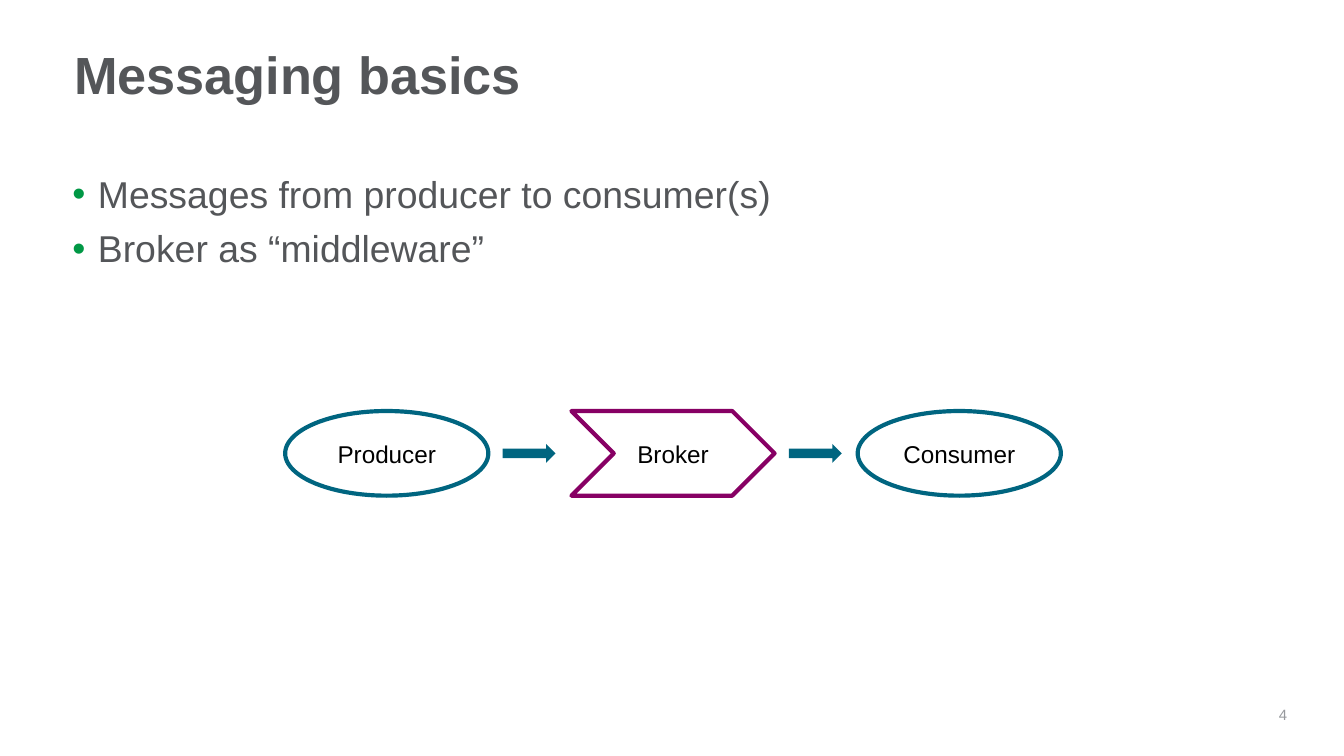
import pptx
import pptx.util
import pptx.dml.color
import pptx.enum.shapes
import pptx.enum.text
from lxml import etree

Cm = pptx.util.Cm
Pt = pptx.util.Pt
RGB = pptx.dml.color.RGBColor
Shape = pptx.enum.shapes.MSO_SHAPE
Align = pptx.enum.text.PP_ALIGN
Anchor = pptx.enum.text.MSO_ANCHOR

GRAY = RGB(0x54, 0x56, 0x59)
PALE = RGB(0x97, 0x99, 0x9D)
GREEN = RGB(0x00, 0x98, 0x45)
TEAL = RGB(0x00, 0x65, 0x80)
PLUM = RGB(0x87, 0x00, 0x64)
BLACK = RGB(0, 0, 0)
WHITE = RGB(0xFF, 0xFF, 0xFF)


class Deck:
    font = "Arial"

    def __init__(self):
        self.file = pptx.Presentation()
        self.file.slide_width = Cm(25.4)
        self.file.slide_height = Cm(14.29)
        self.slide = self.file.slides.add_slide(self.file.slide_layouts[1])

    def place(self, item, box):
        item.left, item.top, item.width, item.height = map(Cm, box)

    def frame(self, item, pad, anchor):
        frame = item.text_frame
        frame.word_wrap = True
        frame.auto_size = pptx.enum.text.MSO_AUTO_SIZE.NONE
        frame.margin_left = frame.margin_right = 0
        frame.margin_top = frame.margin_bottom = Cm(pad)
        frame.vertical_anchor = anchor
        return frame

    def style(self, para, size, color, align, bold=False):
        para.alignment = align
        for run in para.runs:
            run.font.name = self.font
            run.font.size = Pt(size)
            run.font.bold = bold
            run.font.color.rgb = color

    def title(self, text, box):
        item = self.slide.shapes.title
        self.place(item, box)
        frame = self.frame(item, 0.13, Anchor.MIDDLE)
        frame.text = text
        para = frame.paragraphs[0]
        para.line_spacing = 0.9
        self.style(para, 28, GRAY, Align.LEFT, True)

    def bullet(self, para):
        props = para._p.get_or_add_pPr()
        props.set("marL", str(Cm(0.48)))
        props.set("indent", str(-Cm(0.48)))
        tint = etree.SubElement(props, pptx.oxml.ns.qn("a:buClr"))
        etree.SubElement(tint, pptx.oxml.ns.qn("a:srgbClr"), val=str(GREEN))
        etree.SubElement(props, pptx.oxml.ns.qn("a:buFont"), typeface=self.font)
        etree.SubElement(props, pptx.oxml.ns.qn("a:buChar"), char="•")

    def list(self, lines, box):
        item = self.slide.placeholders[1]
        self.place(item, box)
        frame = self.frame(item, 0, Anchor.TOP)
        frame.text = "\n".join(lines)
        for i, para in enumerate(frame.paragraphs):
            self.bullet(para)
            para.line_spacing = 0.9
            para.space_before = Pt(7.5 if i else 0)
            self.style(para, 20, GRAY, Align.LEFT)

    def label(self, text, box):
        item = self.slide.shapes.add_textbox(*map(Cm, box))
        frame = self.frame(item, 0.13, Anchor.TOP)
        frame.text = text
        self.style(frame.paragraphs[0], 8, PALE, Align.RIGHT)

    def shape(self, kind, box, fill=None, line=None):
        item = self.slide.shapes.add_shape(kind, *map(Cm, box))
        item.shadow.inherit = False
        if fill is None:
            item.fill.background()
        else:
            item.fill.solid()
            item.fill.fore_color.rgb = fill
        if line is None:
            item.line.fill.background()
        else:
            item.line.color.rgb = line
            item.line.width = Pt(2.25)
        return item

    def node(self, text, kind, box, fill, line):
        item = self.shape(kind, box, fill, line)
        frame = self.frame(item, 0.13, Anchor.MIDDLE)
        frame.text = text
        self.style(frame.paragraphs[0], 13, BLACK, Align.CENTER)

    def arrow(self, box):
        self.shape(Shape.RIGHT_ARROW, box, TEAL)


def main():
    deck = Deck()
    deck.title("Messaging basics", (1.4, 0.76, 22.53, 1.42))
    deck.list(
        ["Messages from producer to consumer(s)", "Broker as “middleware”"],
        (1.37, 3.33, 22.53, 2.59),
    )
    step = 5.41
    nodes = [
        ("Producer", Shape.OVAL, None, TEAL),
        ("Broker", Shape.CHEVRON, WHITE, PLUM),
        ("Consumer", Shape.OVAL, None, TEAL),
    ]
    for i, (text, kind, fill, line) in enumerate(nodes):
        deck.node(text, kind, (5.39 + i * step, 7.77, 3.84, 1.6), fill, line)
        if i < len(nodes) - 1:
            deck.arrow((9.5 + i * step, 8.39, 1, 0.36))
    deck.label("4", (23.85, 13.21, 0.48, 0.66))
    deck.file.save("out.pptx")


if __name__ == "__main__":
    main()
